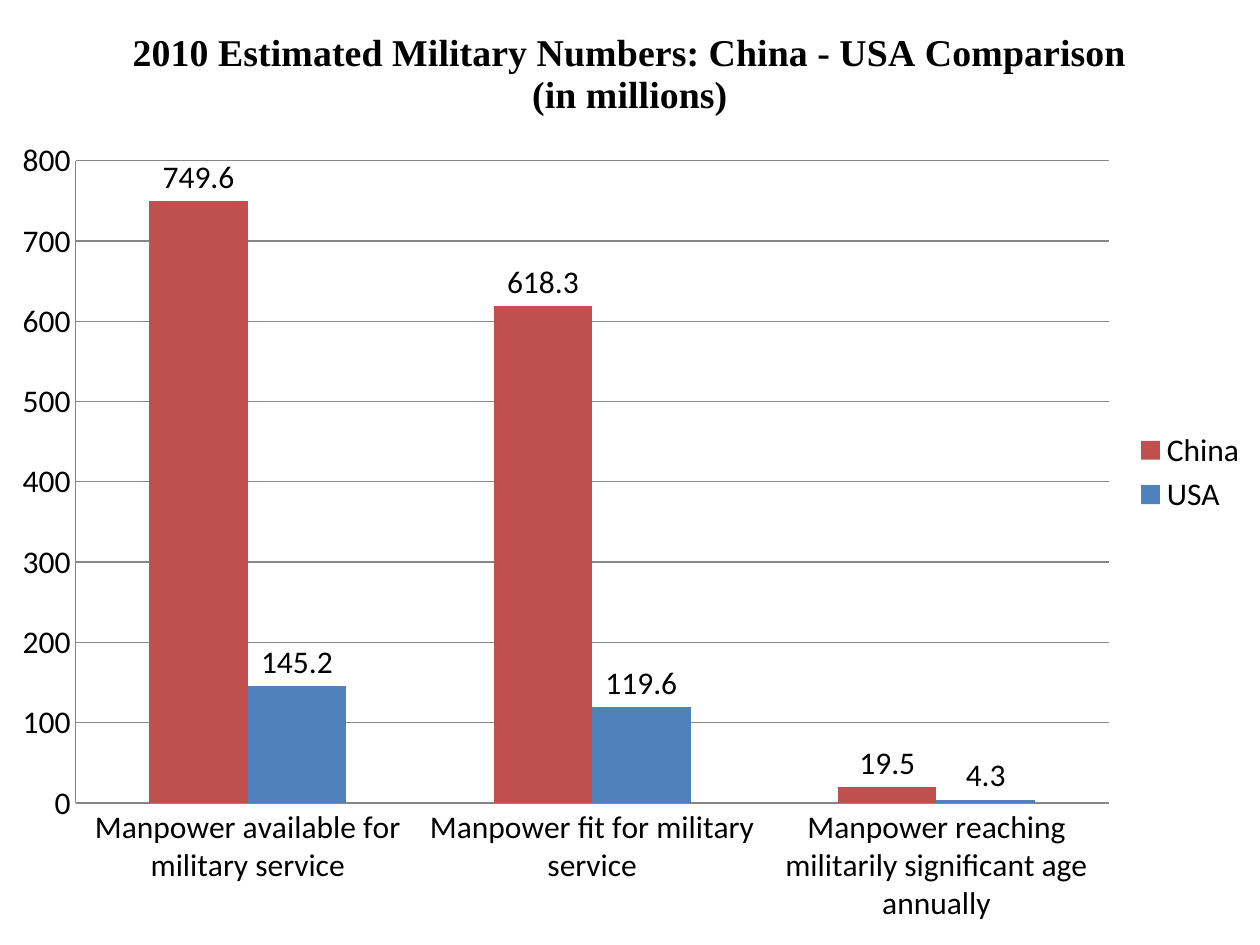
"""Build a slide with a column chart comparing military manpower of China and the USA."""
from lxml.etree import SubElement
from pptx import Presentation
from pptx.chart.data import CategoryChartData
from pptx.dml.color import RGBColor
from pptx.enum.chart import XL_CHART_TYPE as ChartType
from pptx.enum.chart import XL_LABEL_POSITION as LabelPosition
from pptx.enum.chart import XL_LEGEND_POSITION as LegendPosition
from pptx.enum.chart import XL_TICK_MARK as TickMark
from pptx.oxml.ns import qn
from pptx.util import Inches, Pt

BLACK = RGBColor(0x00, 0x00, 0x00)
GRAY = RGBColor(0x86, 0x86, 0x86)
RED = RGBColor(0xC0, 0x50, 0x4D)
BLUE = RGBColor(0x4F, 0x81, 0xBD)

CATEGORIES = [
    "Manpower available for military service",
    "Manpower fit for military service",
    "Manpower reaching militarily significant age annually",
]
COUNTRIES = [
    ("China", RED, (749.6, 618.3, 19.5)),
    ("USA", BLUE, (145.2, 119.6, 4.3)),
]
PLOT_SHARES = {"x": 0.06, "y": 0.17, "w": 0.82, "h": 0.68}

deck = Presentation()
deck.slide_width, deck.slide_height = Inches(10), Inches(7.5)
page = deck.slides.add_slide(deck.slide_layouts[6])

data = CategoryChartData()
data.categories = CATEGORIES
for name, color, values in COUNTRIES:
    data.add_series(name, values)

chart = page.shapes.add_chart(
    ChartType.COLUMN_CLUSTERED, 0, 0, deck.slide_width, deck.slide_height, data
).chart
chart.font.name = "Calibri"
chart.font.size = Pt(18)
chart.font.color.rgb = BLACK

title = chart.chart_title
title.include_in_layout = False
title.text_frame.text = "2010 Estimated Military Numbers: China - USA Comparison\n(in millions)"
for para in title.text_frame.paragraphs:
    for span in para.runs:
        span.font.name = "Times New Roman"
        span.font.size = Pt(21.6)
        span.font.bold = True
        span.font.color.rgb = BLACK

chart.has_legend = True
chart.legend.position = LegendPosition.RIGHT
chart.legend.include_in_layout = False

value_axis = chart.value_axis
value_axis.minimum_scale, value_axis.maximum_scale = 0, 800
value_axis.major_unit = 100
value_axis.has_major_gridlines = True
for axis in (chart.category_axis, value_axis):
    axis.major_tick_mark = axis.minor_tick_mark = TickMark.NONE
for line in (chart.category_axis.format.line, value_axis.format.line, value_axis.major_gridlines.format.line):
    line.color.rgb = GRAY
    line.width = Pt(0.75)

plot = chart.plots[0]
plot.gap_width = 150
plot.overlap = 0
plot.vary_by_categories = False
for series, (name, color, values) in zip(plot.series, COUNTRIES):
    series.format.fill.solid()
    series.format.fill.fore_color.rgb = color
    labels = series.data_labels
    labels.show_value = True
    labels.position = LabelPosition.OUTSIDE_END

plot_area = chart.element.find(".//" + qn("c:plotArea"))
layout = plot_area.find(qn("c:layout"))
if layout is None:
    layout = SubElement(plot_area, qn("c:layout"))
    plot_area.insert(0, layout)
manual = SubElement(layout, qn("c:manualLayout"))
SubElement(manual, qn("c:layoutTarget")).set("val", "inner")
for side in "xy":
    SubElement(manual, qn(f"c:{side}Mode")).set("val", "edge")
for side, share in PLOT_SHARES.items():
    SubElement(manual, qn(f"c:{side}")).set("val", str(share))

deck.save("out.pptx")
